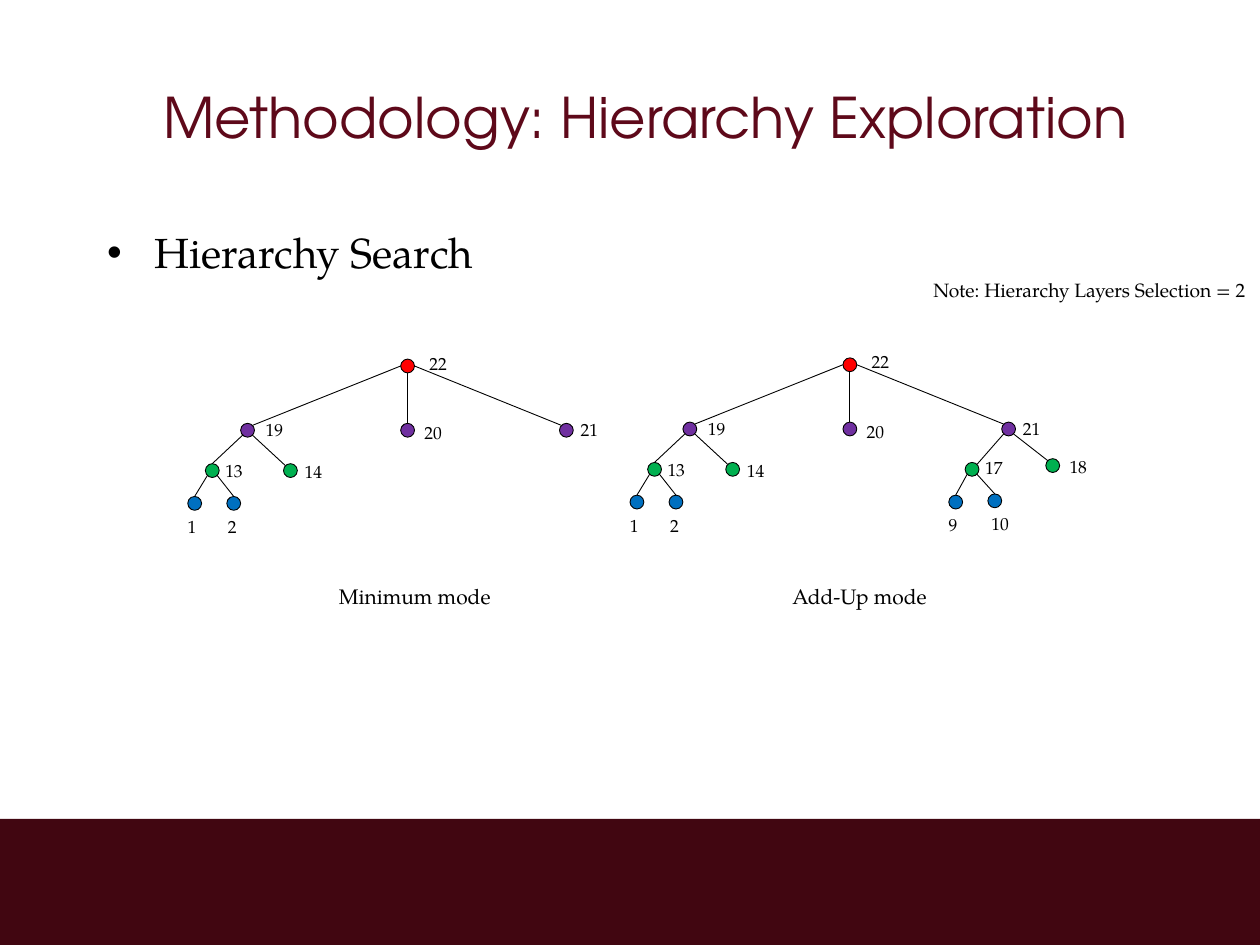
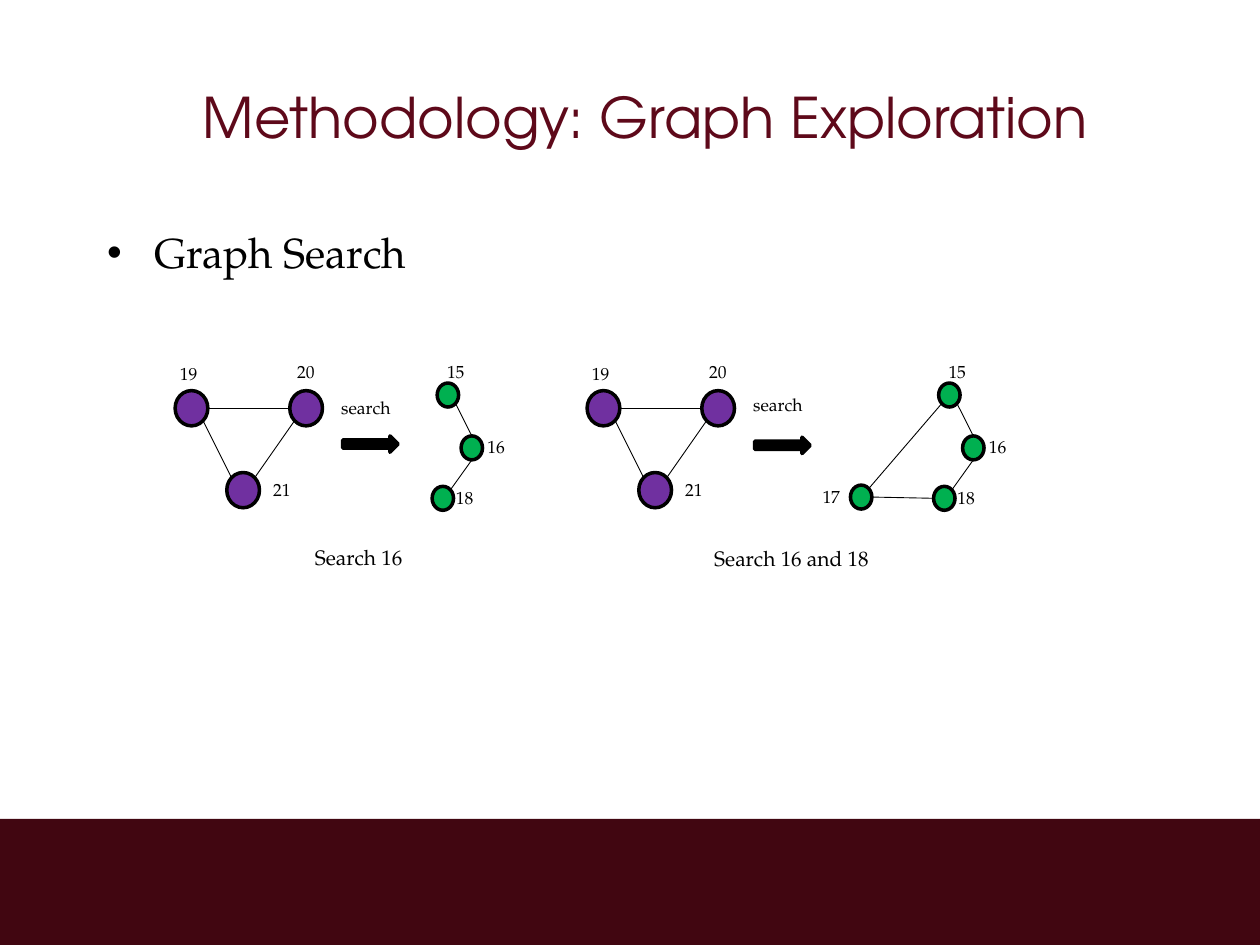
from math import sqrt

from lxml import etree
from pptx import Presentation
from pptx.dml.color import RGBColor
from pptx.enum.shapes import MSO_CONNECTOR, MSO_SHAPE
from pptx.enum.text import MSO_ANCHOR, PP_ALIGN
from pptx.oxml.ns import qn
from pptx.util import Inches, Pt

STRAIGHT = MSO_CONNECTOR.STRAIGHT
RECT = MSO_SHAPE.RECTANGLE
NODE = MSO_SHAPE.FLOWCHART_CONNECTOR
ARROW = MSO_SHAPE.RIGHT_ARROW
MIDDLE = MSO_ANCHOR.MIDDLE
CENTER = PP_ALIGN.CENTER

BLACK = RGBColor(0x00, 0x00, 0x00)
WINE = RGBColor(0x5E, 0x09, 0x1A)
MAROON = RGBColor(0x41, 0x06, 0x11)
RED = RGBColor(0xFF, 0x00, 0x00)
PURPLE = RGBColor(0x70, 0x30, 0xA0)
GREEN = RGBColor(0x00, 0xB0, 0x50)
BLUE = RGBColor(0x00, 0x70, 0xC0)

HEAD_FONT = "TeX Gyre Adventor"
BODY_FONT = "TeX Gyre Pagella"

NEAR = 0.5 - sqrt(2) / 4
FAR = 1 - NEAR
SITES = {
    "t": (0.5, 0), "b": (0.5, 1), "l": (0, 0.5), "r": (1, 0.5),
    "tl": (NEAR, NEAR), "tr": (FAR, NEAR),
    "bl": (NEAR, FAR), "br": (FAR, FAR),
}

DOT = (0.11, 0.11)
LARGE = (0.26, 0.28)
SMALL = (0.17, 0.19)

# name: left, top, colour, label left, label top
TREE = {
    "2": (1.8, 3.94, BLUE, 1.71, 4.05),
    "1": (1.49, 3.94, BLUE, 1.39, 4.05),
    "13": (1.63, 3.68, GREEN, 1.69, 3.6),
    "14": (2.25, 3.68, GREEN, 2.32, 3.61),
    "19": (1.91, 3.36, PURPLE, 2.01, 3.28),
    "20": (3.18, 3.36, PURPLE, 3.27, 3.3),
    "21": (4.44, 3.36, PURPLE, 4.51, 3.28),
    "22": (3.18, 2.85, RED, 3.31, 2.75),
}
TREE_EDGES = ["19 tr 22 l", "13 t 19 bl", "19 br 14 tl", "22 b 20 t",
              "22 r 21 tl", "1 t 13 bl", "13 br 2 t"]
BRANCH = {
    "10": (4.33, 3.93, BLUE, 4.26, 4.03),
    "9": (4.02, 3.94, BLUE, 3.92, 4.04),
    "17": (4.15, 3.68, GREEN, 4.21, 3.59),
    "18": (4.79, 3.65, GREEN, 4.88, 3.58),
}
BRANCH_EDGES = ["21 bl 17 tr", "21 br 18 tl", "17 bl 9 t", "17 br 10 t"]

COARSE = {
    "19": (1.39, 3.1, PURPLE, 1.33, 2.83),
    "20": (2.3, 3.1, PURPLE, 2.26, 2.82),
    "21": (1.8, 3.75, PURPLE, 2.07, 3.75),
}
COARSE_EDGES = ["19 r 20 l", "19 br 21 tl", "21 tr 20 bl"]
FINE = {
    "15": (3.47, 3.04, GREEN, 3.45, 2.82),
    "16": (3.66, 3.46, GREEN, 3.77, 3.41),
    "18": (3.43, 3.86, GREEN, 3.52, 3.82),
}
FINE_EDGES = ["15 br 16 t", "16 b 18 tr"]
ADDED = {"17": (2.77, 3.85, GREEN, 2.45, 3.81)}
ADDED_EDGES = ["15 bl 17 tr", "17 r 18 l"]


class Deck:
    def __init__(self):
        self.prs = Presentation()
        self.prs.slide_width = Inches(10)
        self.prs.slide_height = Inches(7.5)
        self.slide = None

    def font(self, para, name, size, color):
        para.font.name = name
        para.font.size = Pt(size)
        para.font.color.rgb = color

    def band(self):
        band = self.shape(RECT, 0, 6.5, 10, 1, MAROON)
        self.prs.slide_master.shapes._spTree.insert(2, band._element)

    def holder(self, holder, text, top, height):
        holder.left, holder.top = Inches(0.75), Inches(top)
        holder.width, holder.height = Inches(8.75), Inches(height)
        holder.text_frame.text = text
        para = holder.text_frame.paragraphs[0]
        para.space_before = Pt(0)
        return para

    def page(self, title, topic):
        self.slide = self.prs.slides.add_slide(self.prs.slide_layouts[1])
        head = self.slide.shapes.title
        para = self.holder(head, title, 0.3, 1.25)
        head.text_frame.vertical_anchor = MIDDLE
        para.alignment = CENTER
        self.font(para, HEAD_FONT, 32, WINE)
        para = self.holder(self.slide.placeholders[1], topic, 1.75, 4.32)
        self.font(para, BODY_FONT, 24, BLACK)

    def shape(self, kind, x, y, w, h, fill, weight=None):
        shape = self.slide.shapes.add_shape(
            kind, Inches(x), Inches(y), Inches(w), Inches(h))
        shape.shadow.inherit = False
        shape.fill.solid()
        shape.fill.fore_color.rgb = fill
        if weight:
            shape.line.color.rgb = BLACK
            shape.line.width = Pt(weight)
        else:
            shape.line.fill.background()
        return shape

    def line(self, start, end):
        ends = [Inches(v) for v in (*start, *end)]
        line = self.slide.shapes.add_connector(STRAIGHT, *ends)
        line.line.color.rgb = BLACK
        line.line.width = Pt(0.5)
        etree.SubElement(line._element.spPr, qn("a:effectLst"))

    def text(self, text, x, y, w, h=0.27, size=10):
        box = self.slide.shapes.add_textbox(
            Inches(x), Inches(y), Inches(w), Inches(h))
        box.text_frame.word_wrap = True
        box.text_frame.text = text
        self.font(box.text_frame.paragraphs[0], BODY_FONT, size, BLACK)

    def graph(self, nodes, edges, size, weight, dx=0, dy=0):
        w, h = size

        def site(name, side):
            x, y = nodes[name][:2]
            across, down = SITES[side]
            return x + dx + w * across, y + dy + h * down

        for x, y, color, _, _ in nodes.values():
            self.shape(NODE, x + dx, y + dy, w, h, color, weight)
        for edge in edges:
            tail, out, head, into = edge.split()
            self.line(site(tail, out), site(head, into))
        for name, (_, _, _, x, y) in nodes.items():
            self.text(name, x + dx, y + dy, 0.4 if len(name) > 1 else 0.24)

    def search(self, x, text_y, arrow_y):
        self.text("search", x, text_y, 0.7)
        self.shape(ARROW, x + 0.11, arrow_y, 0.44, 0.13, BLACK, 2)


def main():
    deck = Deck()

    deck.page("Methodology: Hierarchy Exploration", "Hierarchy Search")
    deck.band()
    deck.graph(TREE, TREE_EDGES, DOT, 0.5)
    deck.graph(TREE | BRANCH, TREE_EDGES + BRANCH_EDGES, DOT, 0.5, 3.51, -0.01)
    deck.text("Minimum mode", 2.59, 4.58, 1.92, 0.3, 12)
    deck.text("Add-Up mode", 6.19, 4.58, 1.33, 0.3, 12)
    deck.text("Note: Hierarchy Layers Selection = 2", 7.31, 2.16, 2.69, 0.29, 11)

    deck.page("Methodology: Graph Exploration", "Graph Search")
    deck.graph(COARSE, COARSE_EDGES, LARGE, 2)
    deck.graph(FINE, FINE_EDGES, SMALL, 2)
    deck.graph(COARSE, COARSE_EDGES, LARGE, 2, 3.27)
    deck.graph(FINE | ADDED, FINE_EDGES + ADDED_EDGES, SMALL, 2, 3.98)
    deck.search(2.61, 3.1, 3.46)
    deck.search(5.88, 3.08, 3.47)
    deck.text("Search 16", 2.4, 4.27, 1.05, 0.3, 12)
    deck.text("Search 16 and 18", 5.57, 4.28, 1.49, 0.3, 12)

    deck.prs.save("out.pptx")


if __name__ == "__main__":
    main()
